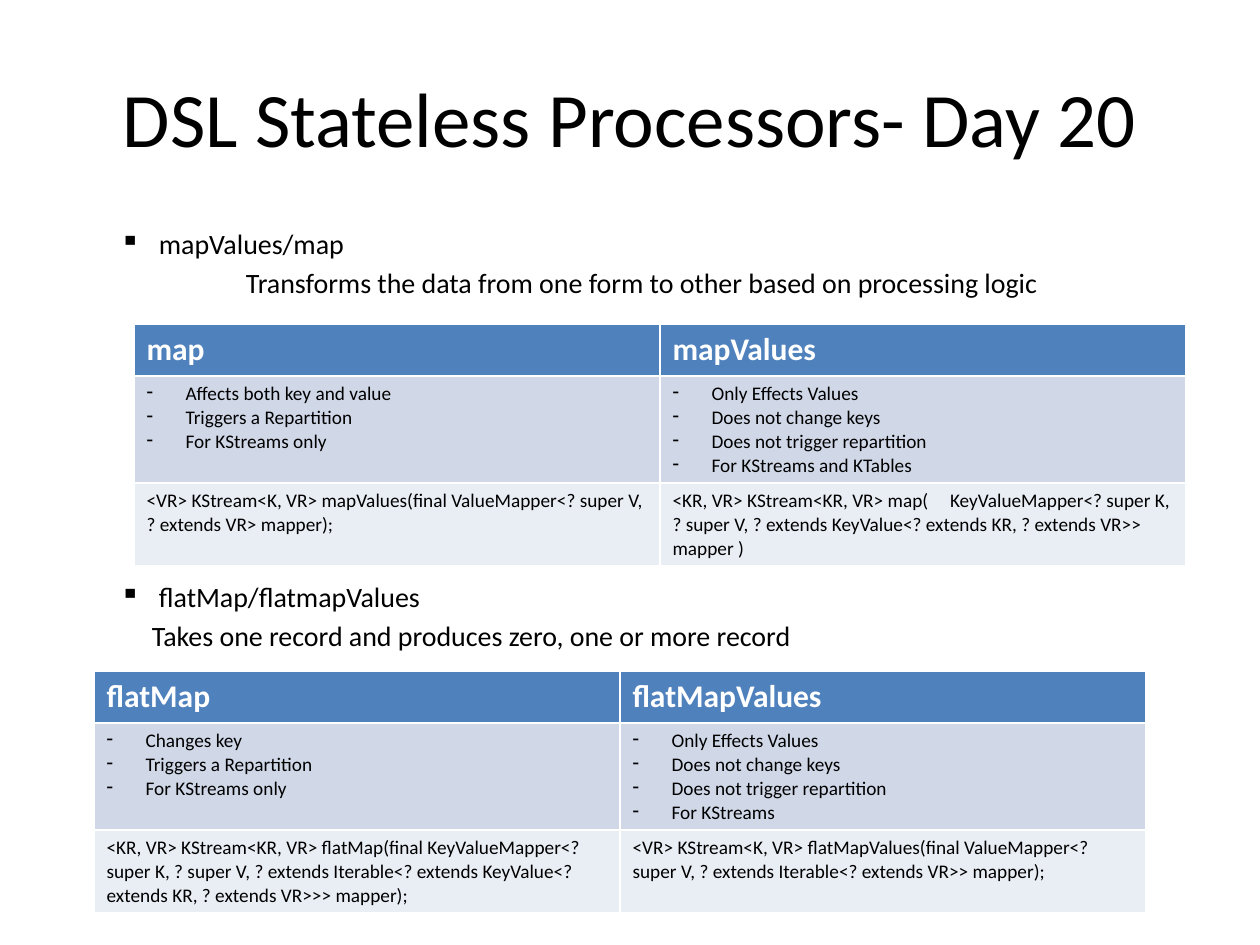
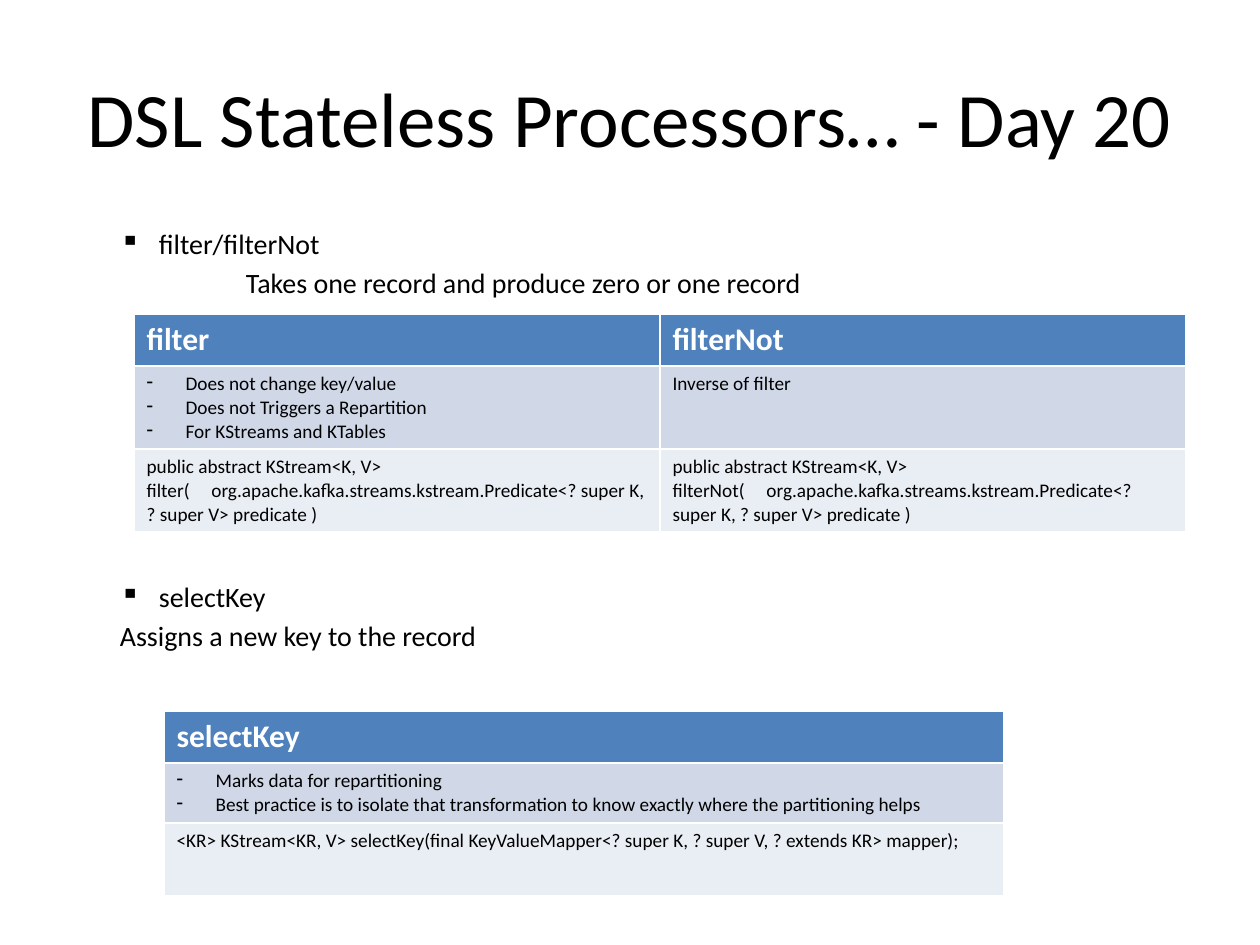
from lxml import etree
from pptx import Presentation
from pptx.dml.color import RGBColor
from pptx.enum.text import MSO_ANCHOR, PP_ALIGN
from pptx.oxml.ns import qn
from pptx.util import Pt

MID, TOP = MSO_ANCHOR.MIDDLE, MSO_ANCHOR.TOP
LEFT, CENTER = PP_ALIGN.LEFT, PP_ALIGN.CENTER

# Each table row is a list of cells; a cell is a list of dashed points or plain text.
SLIDES = [
    {
        "title": "DSL Stateless Processors- Day 20",
        "notes": [
            ("mapValues/map", 126,
             "Transforms the data from one form to other based on processing logic"),
            ("flatMap/flatmapValues", 32,
             "Takes one record and produces zero, one or more record"),
        ],
        "tables": [
            {"at": (134, 324), "col": 526, "rows": (52, 107, 83), "cells": [
                ["map", "mapValues"],
                [["Affects both key and value", "Triggers a Repartition",
                  "For KStreams only"],
                 ["Only Effects Values", "Does not change keys",
                  "Does not trigger repartition", "For KStreams and KTables"]],
                ["<VR> KStream<K, VR> mapValues(final ValueMapper<? super V, "
                 "? extends VR> mapper);",
                 "<KR, VR> KStream<KR, VR> map(     KeyValueMapper<? super K, "
                 "? super V, ? extends KeyValue<? extends KR, ? extends VR>> mapper )"],
            ]},
            {"at": (94, 671), "col": 526, "rows": (52, 107, 83), "cells": [
                ["flatMap", "flatMapValues"],
                [["Changes key", "Triggers a Repartition", "For KStreams only"],
                 ["Only Effects Values", "Does not change keys",
                  "Does not trigger repartition", "For KStreams"]],
                ["<KR, VR> KStream<KR, VR> flatMap(final KeyValueMapper<? super K, "
                 "? super V, ? extends Iterable<? extends KeyValue<? extends KR, "
                 "? extends VR>>> mapper);",
                 "<VR> KStream<K, VR> flatMapValues(final ValueMapper<? super V, "
                 "? extends Iterable<? extends VR>> mapper);"],
            ]},
        ],
    },
    {
        "title": "DSL Stateless Processors… - Day 20",
        "notes": [
            ("filter/filterNot", 126, "Takes one record and produce zero or one record"),
            ("selectKey", 0, "Assigns a new key to the record"),
        ],
        "tables": [
            {"at": (134, 314), "col": 526, "rows": (52, 83, 83), "cells": [
                ["filter", "filterNot"],
                [["Does not change key/value", "Does not Triggers a Repartition",
                  "For KStreams and KTables"],
                 "Inverse of filter"],
                ["public abstract KStream<K, V> filter(     "
                 "org.apache.kafka.streams.kstream.Predicate<? super K, "
                 "? super V> predicate )",
                 "public abstract KStream<K, V> filterNot(     "
                 "org.apache.kafka.streams.kstream.Predicate<? super K, "
                 "? super V> predicate )"],
            ]},
            {"at": (164, 711), "col": 840, "rows": (52, 60, 73), "cells": [
                ["selectKey"],
                [["Marks data for repartitioning",
                  "Best practice is to isolate that transformation to know exactly "
                  "where the partitioning helps"]],
                ["<KR> KStream<KR, V> selectKey(final KeyValueMapper<? super K, "
                 "? super V, ? extends KR> mapper);"],
            ]},
        ],
    },
]

COLORS = {"ink": "000000", "white": "FFFFFF", "head": "4F81BD",
          "points": "D0D8E8", "code": "E9EDF4"}
FONTS = {
    "title": {"name": "Calibri", "size": Pt(44), "bold": False},
    "note": {"name": "Calibri", "size": Pt(16), "bold": False},
    "head": {"name": "Calibri", "size": Pt(18), "bold": True},
    "cell": {"name": "Calibri", "size": Pt(11), "bold": False},
}
ROWS = [("head", "head", "white"), ("points", "cell", "ink"), ("code", "cell", "ink")]

WIDE, HIGH = 1260, 945
TITLE = (63, 38, 1134, 158)
NOTE_X, NOTE_Y, NOTE_W, NOTE_H, NOTE_STEP = 120, 227, 1046, 74, 353
HANG = 39


def px(num):
    return num * 914400 // 126


def rgb(name):
    return RGBColor.from_string(COLORS[name])


def style(para, text, font, color="ink"):
    run = para.add_run()
    run.text = text
    for key, value in FONTS[font].items():
        setattr(run.font, key, value)
    run.font.color.rgb = rgb(color)


def indent(para, left, mark=None):
    """Indent a paragraph, hanging it behind a bullet mark if there is one."""
    props = para._p.get_or_add_pPr()
    props.set("marL", str(px(left)))
    props.set("indent", str(-px(left) if mark else 0))
    if mark:
        etree.SubElement(props, qn("a:buChar")).set("char", mark)


def add_box(slide, area, anchor, align):
    frame = slide.shapes.add_textbox(*map(px, area)).text_frame
    form = {"word_wrap": True, "vertical_anchor": anchor, "margin_left": 0,
            "margin_right": 0, "margin_top": 0, "margin_bottom": 0}
    for key, value in form.items():
        setattr(frame, key, value)
    frame.paragraphs[0].alignment = align
    return frame


def add_note(slide, spot, name, inset, text):
    area = (NOTE_X, NOTE_Y + spot * NOTE_STEP, NOTE_W, NOTE_H)
    frame = add_box(slide, area, TOP, LEFT)
    head, line = frame.paragraphs[0], frame.add_paragraph()
    indent(head, HANG, "▪")
    style(head, name, "note")
    indent(line, inset)
    line.space_before = Pt(3)
    style(line, text, "note")


def fill_cell(cell, item, fill, font, color):
    cell.fill.solid()
    cell.fill.fore_color.rgb = rgb(fill)
    points = isinstance(item, list)
    frame = cell.text_frame
    for num, text in enumerate(item if points else [item]):
        para = frame.add_paragraph() if num else frame.paragraphs[0]
        if points:
            indent(para, HANG, "-")
        style(para, text, font, color)


def add_grid(slide, spec_at, col, rows, cells):
    count = len(cells[0])
    area = (*spec_at, col * count, sum(rows))
    grid = slide.shapes.add_table(len(rows), count, *map(px, area)).table
    for column in grid.columns:
        column.width = px(col)
    for row, high, items, look in zip(grid.rows, rows, cells, ROWS):
        row.height = px(high)
        for cell, item in zip(row.cells, items):
            fill_cell(cell, item, *look)


def main():
    deck = Presentation()
    deck.slide_width, deck.slide_height = px(WIDE), px(HIGH)
    for page in SLIDES:
        slide = deck.slides.add_slide(deck.slide_layouts[6])
        title = add_box(slide, TITLE, MID, CENTER)
        style(title.paragraphs[0], page["title"], "title")
        for spot, note in enumerate(page["notes"]):
            add_note(slide, spot, *note)
        for table in page["tables"]:
            add_grid(slide, table["at"], table["col"], table["rows"], table["cells"])
    deck.save("out.pptx")


if __name__ == "__main__":
    main()
